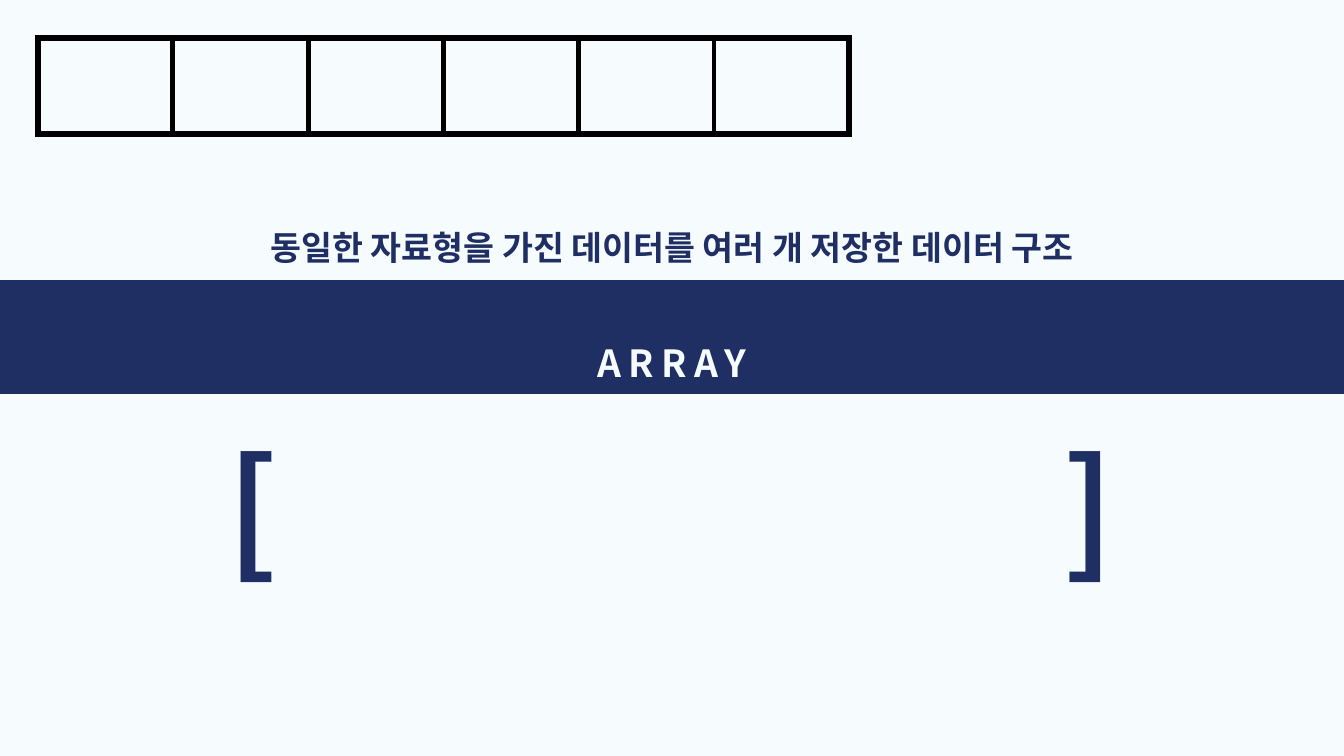
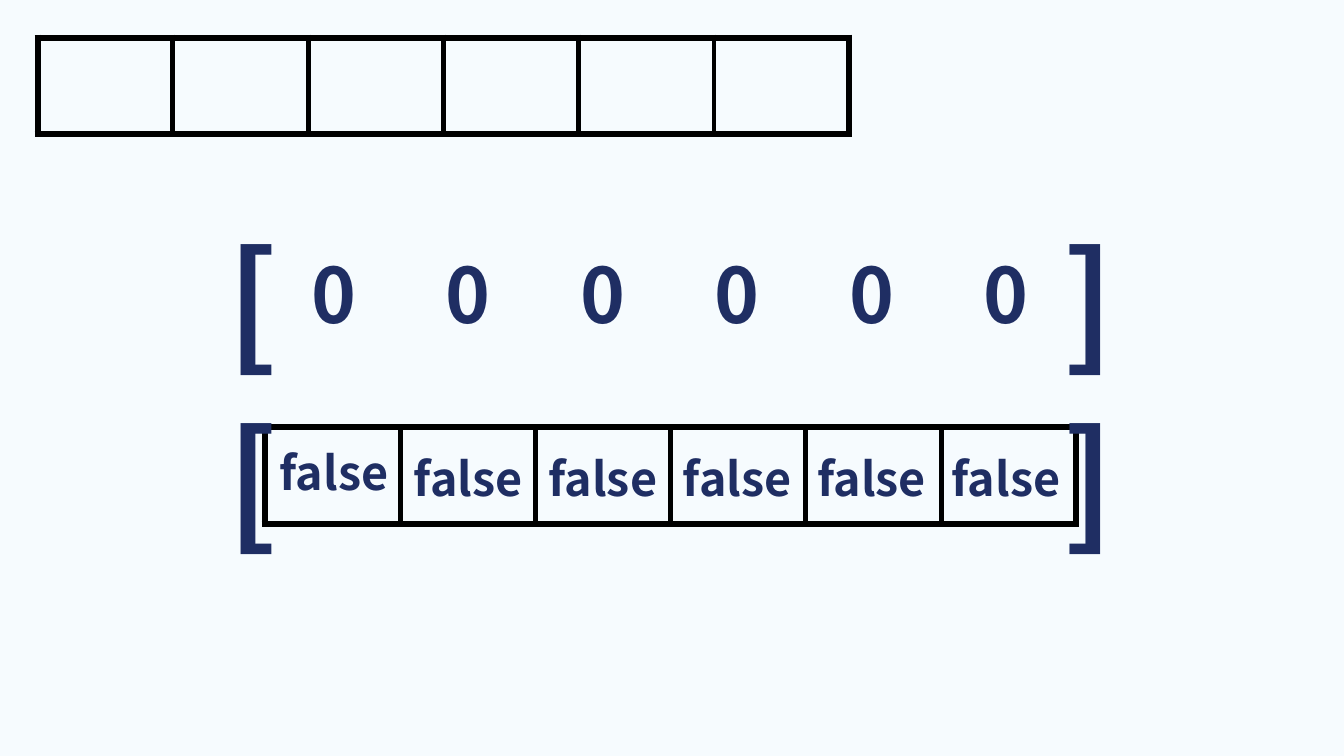
from pptx import Presentation
from pptx.dml.color import RGBColor
from pptx.enum.shapes import MSO_SHAPE
from pptx.enum.text import MSO_ANCHOR, MSO_AUTO_SIZE, PP_ALIGN
from pptx.oxml import parse_xml
from pptx.oxml.ns import nsdecls, qn
from pptx.util import Inches, Pt

INK = {"page": "F6FBFE", "navy": "1F2E63", "line": "000000"}
FONT = "Noto Sans CJK KR"
COUNT = 6
STEP = 2
FIRST = 3.97


def write(slide, text, left, top, width, height, size, lead,
          ink="navy", align=PP_ALIGN.CENTER):
    """Add a bold text box that grows with its text; return the box."""
    box = slide.shapes.add_textbox(
        Inches(left), Inches(top), Inches(width), Inches(height))
    frame = box.text_frame
    frame.margin_left = frame.margin_right = 0
    frame.margin_top = frame.margin_bottom = 0
    frame.word_wrap = True
    frame.auto_size = MSO_AUTO_SIZE.SHAPE_TO_FIT_TEXT
    para = frame.paragraphs[0]
    para.text = text
    para.alignment = align
    para.line_spacing = Pt(lead)
    font = para.font
    font.name = FONT
    font.size = Pt(size)
    font.bold = True
    font.color.rgb = RGBColor.from_string(INK[ink])
    props = para._p.pPr.find(qn("a:defRPr"))
    props.append(parse_xml(f'<a:ea {nsdecls("a")} typeface="{FONT}"/>'))
    return box


def draw_cells(slide, left, top):
    """Add the empty one-row array, with a heavier outer border."""
    table = slide.shapes.add_table(
        1, COUNT, Inches(left), Inches(top), Inches(12.08), Inches(1.44)).table
    table.first_row = table.horz_banding = False
    for col, cell in enumerate(table.rows[0].cells):
        cell.fill.background()
        sides = {"L": 7.5 if col == 0 else 6,
                 "R": 7.5 if col == COUNT - 1 else 6,
                 "T": 7.5, "B": 7.5}
        props = cell._tc.get_or_add_tcPr()
        for spot, (side, width) in enumerate(sides.items()):
            props.insert(spot, parse_xml(
                f'<a:ln{side} {nsdecls("a")} w="{Pt(width)}"><a:solidFill>'
                f'<a:srgbClr val="{INK["line"]}"/></a:solidFill></a:ln{side}>'))


deck = Presentation()
deck.slide_width = Inches(20)
deck.slide_height = Inches(11.25)
slides = []
for _ in range(2):
    slide = deck.slides.add_slide(deck.slide_layouts[6])
    slide.background.fill.solid()
    slide.background.fill.fore_color.rgb = RGBColor.from_string(INK["page"])
    draw_cells(slide, 0.56, 0.56)
    slides.append(slide)
intro, values = slides

# Slide 1: what an array is
band = intro.shapes.add_shape(
    MSO_SHAPE.RECTANGLE, 0, Inches(4.17), deck.slide_width, Inches(1.69))
band.shadow.inherit = False
band.fill.solid()
band.fill.fore_color.rgb = RGBColor.from_string(INK["navy"])
band.line.fill.background()

title = write(intro, "ARRAY", 0, 5.32, 20, 0.55, 40, 20, ink="page")
title.text_frame.auto_size = MSO_AUTO_SIZE.NONE
title.text_frame.vertical_anchor = MSO_ANCHOR.MIDDLE
title.text_frame.paragraphs[0]._p.pPr.find(qn("a:defRPr")).set("spc", "800")

write(intro, "동일한 자료형을 가진 데이터를 여러 개 저장한 데이터 구조",
      0, 3.28, 20, 1.37, 36, 50.4)

# Slide 2: default values
draw_cells(values, 3.94, 6.36)
for col in range(COUNT):
    left = FIRST + col * STEP
    write(values, "0", left, 3.45, STEP, 1.49, 81.6, 114.3)
    write(values, "false", left, 6.55 if col else 6.47, STEP, 0.94, 50, 70)

# Brackets around each row of values
for slide, top in ((intro, 5.93), (values, 2.84), (values, 5.51)):
    for mark, left in (("[", 3.38), ("]", 15.83)):
        write(slide, mark, left, top, 0.79, 2.61, 144, 201.6,
              align=PP_ALIGN.LEFT)

deck.save("out.pptx")
